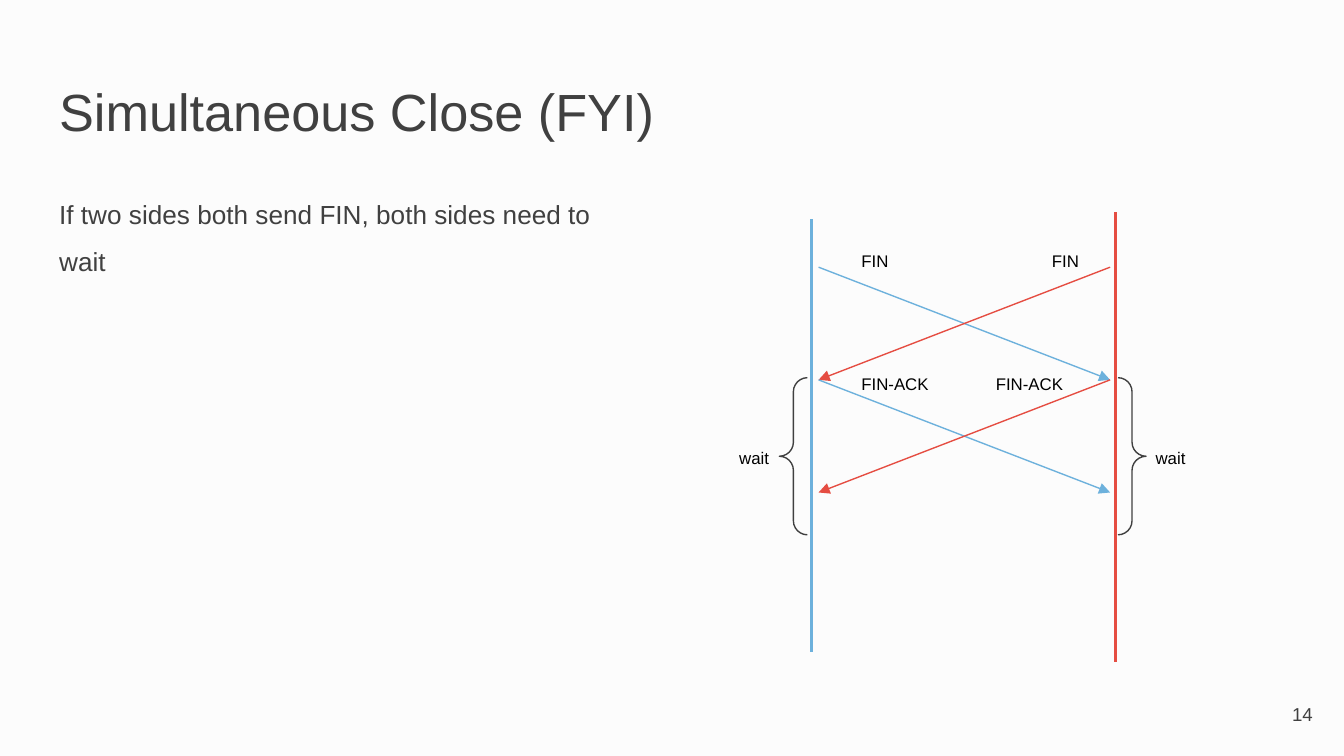
from dataclasses import dataclass

from lxml import etree
from pptx import Presentation
from pptx import util as u
from pptx.dml.color import RGBColor
from pptx.enum import shapes, text
from pptx.oxml import ns


@dataclass(frozen=True)
class Theme:
    font: str = "Arial"
    paper: RGBColor = RGBColor(0xFC, 0xFC, 0xFC)
    ink: RGBColor = RGBColor(0x40, 0x40, 0x40)
    label: RGBColor = RGBColor(0, 0, 0)
    blue: RGBColor = RGBColor(0x6D, 0xB1, 0xDC)
    red: RGBColor = RGBColor(0xE5, 0x4D, 0x42)
    title_size: int = 28
    body_size: int = 14
    number_size: int = 10
    label_size: int = 9
    timeline_width: float = 1.5
    thin_width: float = 0.75


theme = Theme()
prs = Presentation()
prs.slide_width, prs.slide_height = u.Cm(25.4), u.Cm(14.29)
slide = prs.slides.add_slide(prs.slide_layouts[6])
slide.background.fill.solid()
slide.background.fill.fore_color.rgb = theme.paper


def write(words, left, top, width, height, size, color):
    """Add a one-paragraph text box and return its frame."""
    frame = slide.shapes.add_textbox(
        u.Cm(left), u.Cm(top), u.Cm(width), u.Cm(height)).text_frame
    frame.word_wrap = True
    frame.margin_left = frame.margin_right = u.Cm(0.25)
    frame.margin_top = frame.margin_bottom = u.Cm(0.25)
    run = frame.paragraphs[0].add_run()
    run.text = words
    run.font.name = theme.font
    run.font.size = u.Pt(size)
    run.font.color.rgb = color
    return frame


def draw_line(x1, y1, x2, y2, color, width, arrow=False):
    """Add a straight line, with an arrowhead at its end if asked."""
    line = slide.shapes.add_connector(
        shapes.MSO_CONNECTOR.STRAIGHT, u.Cm(x1), u.Cm(y1), u.Cm(x2), u.Cm(y2))
    line.line.color.rgb = color
    line.line.width = u.Pt(width)
    if arrow:
        etree.SubElement(line.line._get_or_add_ln(), ns.qn("a:tailEnd"), type="triangle")
    etree.SubElement(line._element.spPr, ns.qn("a:effectLst"))


# Title, body and page number
write("Simultaneous Close (FYI)", 0.87, 1.24, 23.67, 1.6, theme.title_size, theme.ink)

body = write("If two sides both send FIN, both sides need to wait",
             0.87, 3.2, 11.1, 9.5, theme.body_size, theme.ink)
body.paragraphs[0].line_spacing = 1.5
body.paragraphs[0].space_after = u.Pt(16)

page_number = write("14", 23.54, 12.95, 1.52, 1.09, theme.number_size, theme.ink)
page_number.vertical_anchor = text.MSO_ANCHOR.MIDDLE
page_number.paragraphs[0].alignment = text.PP_ALIGN.RIGHT

# Timelines of the two sides
draw_line(15.34, 4.14, 15.34, 12.32, theme.blue, theme.timeline_width)
draw_line(21.08, 4.01, 21.08, 12.52, theme.red, theme.timeline_width)

# Crossing messages: one pair per round
near_blue, near_red = 15.47, 20.98
first_send, travel = 5.05, 2.13
for turn in range(2):
    sent = first_send + turn * travel
    received = sent + travel
    draw_line(near_blue, sent, near_red, received, theme.blue, theme.thin_width, arrow=True)
    draw_line(near_red, sent, near_blue, received, theme.red, theme.thin_width, arrow=True)

# Message names
for message, top, width, lefts in (("FIN", 4.55, 1.3, (16.03, 19.63)),
                                   ("FIN-ACK", 6.88, 1.93, (16.03, 18.57))):
    for left in lefts:
        write(message, left, top, width, 0.89, theme.label_size, theme.label)

# Waiting periods
for brace_kind, brace_left, wait_left in (
        (shapes.MSO_SHAPE.LEFT_BRACE, 14.73, 13.72),
        (shapes.MSO_SHAPE.RIGHT_BRACE, 21.13, 21.59)):
    brace = slide.shapes.add_shape(
        brace_kind, u.Cm(brace_left), u.Cm(7.14), u.Cm(0.53), u.Cm(2.97))
    brace.shadow.inherit = False
    brace.adjustments[0] = brace.adjustments[1] = 0.5
    brace.fill.background()
    brace.line.color.rgb = theme.ink
    brace.line.width = u.Pt(theme.thin_width)
    write("wait", wait_left, 8.28, 1.93, 0.89, theme.label_size, theme.label)

prs.save("out.pptx")
